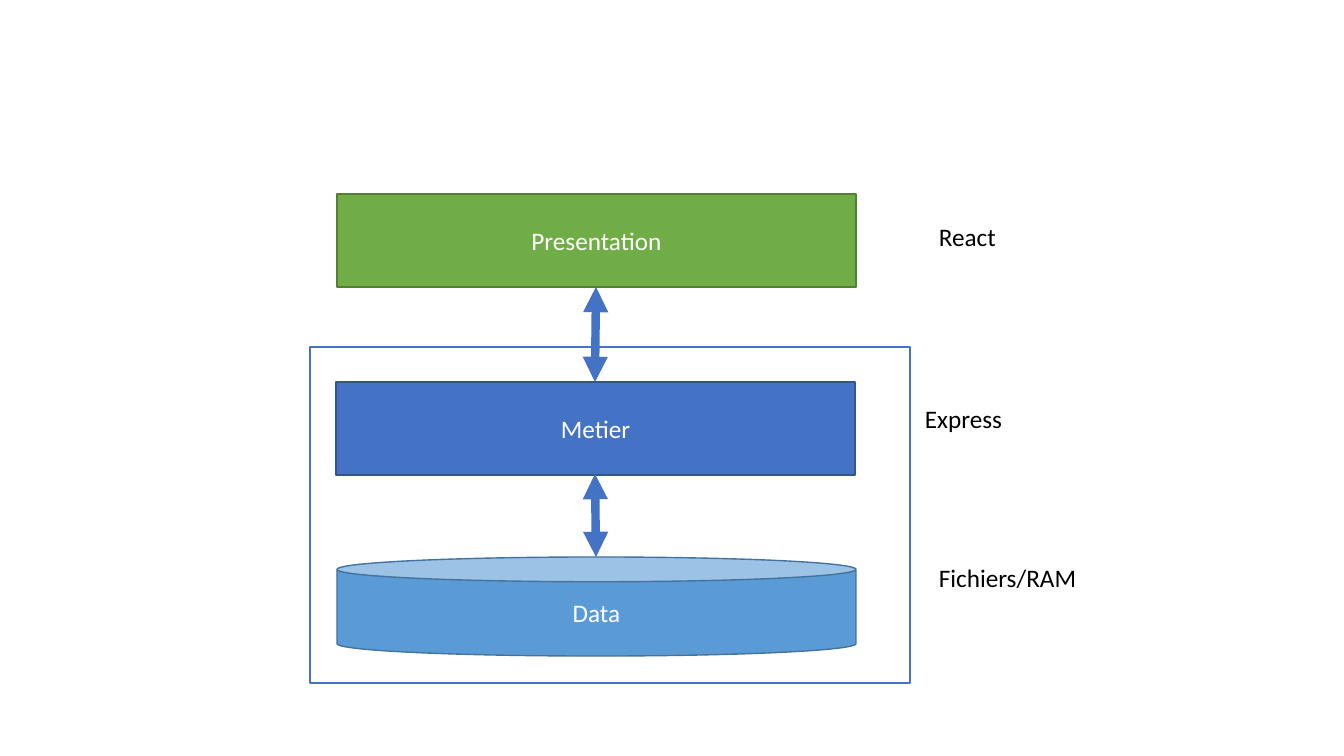
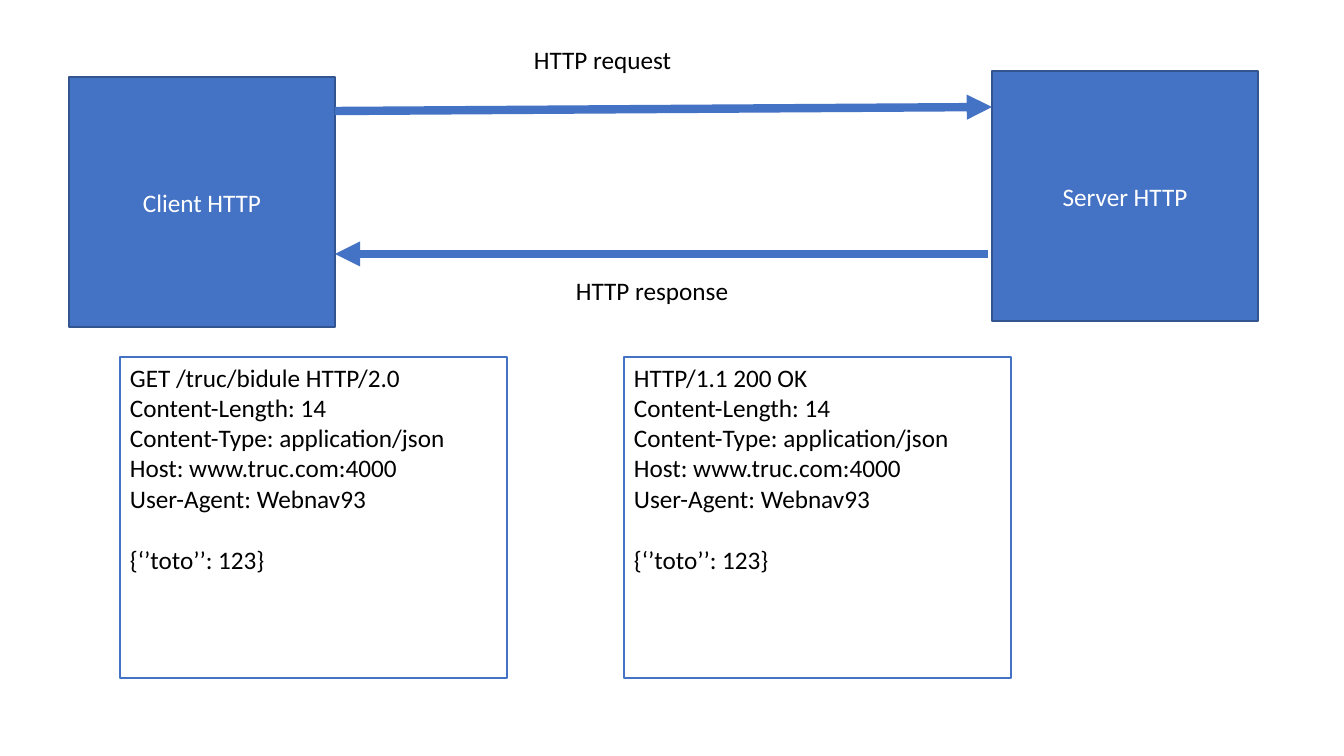
from pptx import Presentation
from pptx.dml.color import RGBColor
from pptx.enum.shapes import MSO_CONNECTOR, MSO_SHAPE
from pptx.enum.text import MSO_ANCHOR, MSO_AUTO_SIZE, PP_ALIGN
from pptx.oxml.ns import qn
from pptx.util import Pt
from lxml.etree import SubElement

SCALE = 914400 / 100.8
FONT = "Calibri"
TEXT_SIZE = 18
BLUE = "4472C4"
BLUE_EDGE = "325491"
GREEN, GREEN_EDGE = "70AD47", "538035"
SKY, SKY_EDGE = "5B9BD5", "43739E"
WHITE, BLACK = "FFFFFF", "000000"

HEADERS = [
    "Content-Length: 14",
    "Content-Type: application/json",
    "Host: www.truc.com:4000",
    "User-Agent: Webnav93",
]
BODY = "{‘’toto’’: 123}"


def px(*lengths):
    return [round(length * SCALE) for length in lengths]


def color(hex_code):
    return RGBColor.from_string(hex_code)


def write(frame, lines, ink=BLACK, align=PP_ALIGN.LEFT, anchor=MSO_ANCHOR.TOP):
    frame.vertical_anchor = anchor
    for index, line in enumerate(lines):
        paragraph = frame.paragraphs[0] if index == 0 else frame.add_paragraph()
        paragraph.alignment = align
        run = paragraph.add_run()
        run.text = line
        run.font.name = FONT
        run.font.size = Pt(TEXT_SIZE)
        run.font.color.rgb = color(ink)


def add_panel(slide, place, fill=WHITE, edge=BLUE, outline=MSO_SHAPE.RECTANGLE):
    panel = slide.shapes.add_shape(outline, *px(*place))
    panel.shadow.inherit = False
    panel.fill.solid()
    panel.fill.fore_color.rgb = color(fill)
    panel.line.color.rgb = color(edge)
    panel.line.width = Pt(1)
    return panel


def add_block(slide, name, place, fill=BLUE, edge=BLUE_EDGE, outline=MSO_SHAPE.RECTANGLE):
    block = add_panel(slide, place, fill, edge, outline)
    write(block.text_frame, [name], ink=WHITE, align=PP_ALIGN.CENTER, anchor=MSO_ANCHOR.MIDDLE)


def add_label(slide, caption, place):
    frame = slide.shapes.add_textbox(*px(*place)).text_frame
    frame.word_wrap = False
    frame.auto_size = MSO_AUTO_SIZE.SHAPE_TO_FIT_TEXT
    write(frame, [caption])


def add_arrow(slide, start, end, both_ways=False):
    arrow = slide.shapes.add_connector(MSO_CONNECTOR.STRAIGHT, *px(*start, *end))
    arrow.line.color.rgb = color(BLUE)
    arrow.line.width = Pt(6)
    properties = arrow._element.spPr
    stroke = properties.find(qn("a:ln"))
    for tip in ["a:headEnd", "a:tailEnd"] if both_ways else ["a:tailEnd"]:
        SubElement(stroke, qn(tip), type="triangle")
    SubElement(properties, qn("a:effectLst"))


def add_message(slide, start_line, left):
    message = add_panel(slide, (left, 357, 387, 321))
    write(message.text_frame, [start_line, *HEADERS, BODY])
    message.text_frame.paragraphs[-1].space_before = Pt(22)


def build_layers(slide):
    add_panel(slide, (310, 347, 600, 336))
    add_block(slide, "Presentation", (337, 194, 519, 93), GREEN, GREEN_EDGE)
    add_block(slide, "Metier", (336, 382, 519, 93))
    add_block(slide, "Data", (337, 557, 519, 99), SKY, SKY_EDGE, MSO_SHAPE.CAN)
    add_arrow(slide, (596, 287), (595, 382), both_ways=True)
    add_arrow(slide, (595, 474), (596, 557), both_ways=True)
    add_label(slide, "React", (929, 216, 78, 40))
    add_label(slide, "Express", (915, 398, 98, 40))
    add_label(slide, "Fichiers/RAM", (929, 557, 159, 40))


def build_http_exchange(slide):
    add_block(slide, "Client HTTP", (69, 77, 266, 250))
    add_block(slide, "Server HTTP", (992, 71, 266, 250))
    add_arrow(slide, (335, 111), (992, 107))
    add_label(slide, "HTTP request", (524, 39, 159, 40))
    add_arrow(slide, (988, 254), (335, 254))
    add_label(slide, "HTTP response", (566, 270, 174, 40))
    add_message(slide, "GET /truc/bidule HTTP/2.0", 120)
    add_message(slide, "HTTP/1.1 200 OK", 624)


def main():
    deck = Presentation()
    deck.slide_width, deck.slide_height = px(1344, 756)
    blank_layout = deck.slide_layouts[6]
    for build in (build_layers, build_http_exchange):
        build(deck.slides.add_slide(blank_layout))
    deck.save("out.pptx")


main()
